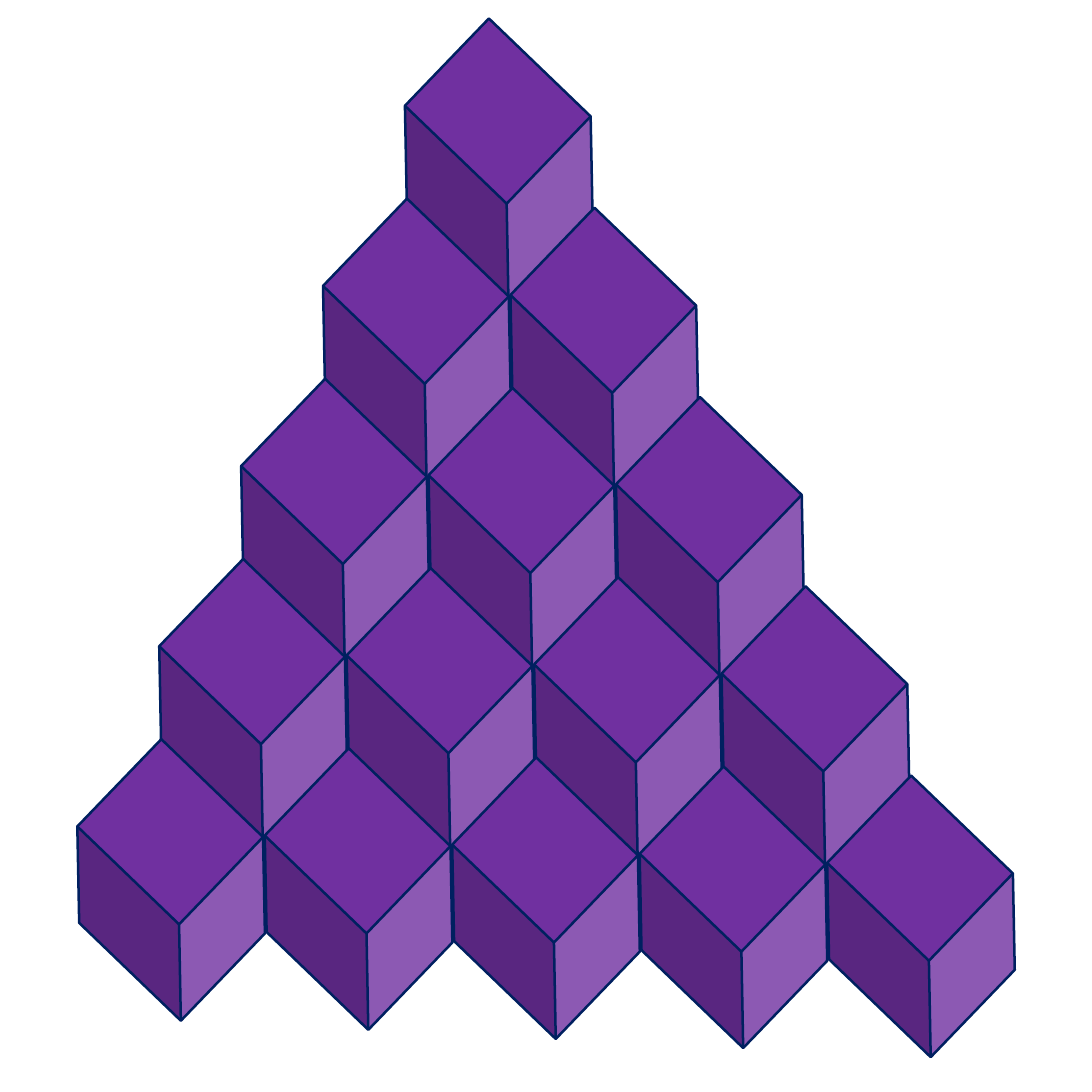
from pptx import Presentation
from pptx.dml.color import RGBColor
from pptx.enum.shapes import MSO_SHAPE
from pptx.util import Inches, Pt

COLORS = {"face": "7030A0", "edge": "002060"}
ROWS = 5


def add_cube(group, left, top):
    """Add one tilted cube to the group."""
    cube = group.shapes.add_shape(
        MSO_SHAPE.CUBE, Inches(left), Inches(top), Inches(1.04), Inches(1.15)
    )
    cube.adjustments[0] = 0.36
    cube.rotation = 133.9
    cube.shadow.inherit = False
    cube.fill.solid()
    cube.fill.fore_color.rgb = RGBColor.from_string(COLORS["face"])
    cube.line.color.rgb = RGBColor.from_string(COLORS["edge"])
    cube.line.width = Pt(1)


def add_stack(slide):
    """Stack the cubes in rows that grow by one."""
    group = slide.shapes.add_group_shape()
    for row in range(ROWS):
        for col in range(row + 1):
            left = 2.22 - 0.45 * row + 1.03 * col
            top = 0.3 + 0.99 * row + 0.05 * col
            add_cube(group, left, top)


def main():
    """Build and save the slide."""
    deck = Presentation()
    deck.slide_width = deck.slide_height = Inches(6)
    slide = deck.slides.add_slide(deck.slide_layouts[6])
    add_stack(slide)
    deck.save("out.pptx")


main()
